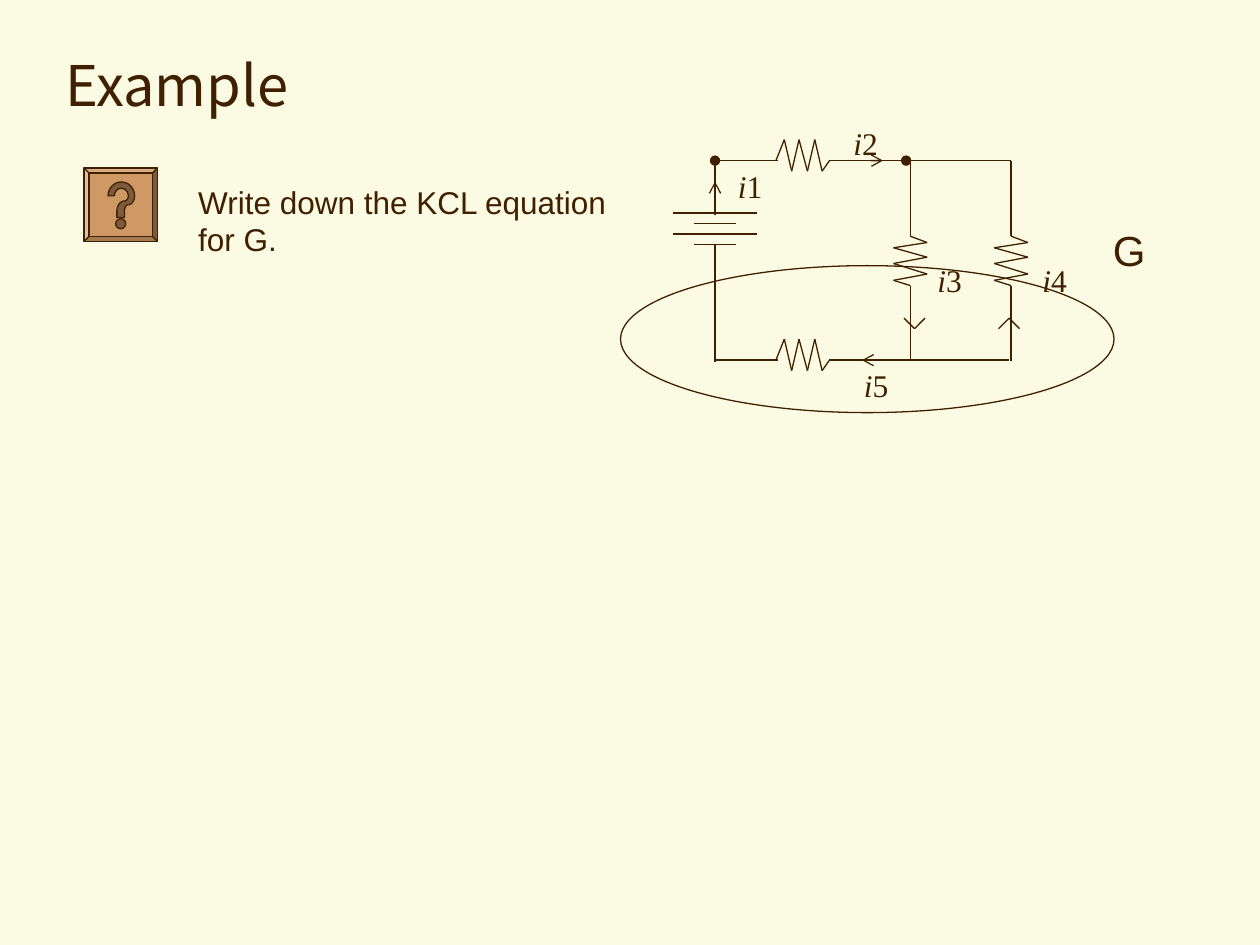
import math
from itertools import pairwise

from lxml import etree
from pptx import Presentation
from pptx import util as u
from pptx.dml.color import RGBColor
from pptx.enum import shapes, text
from pptx.oxml.ns import qn

BROWN = RGBColor(0x40, 0x20, 0x00)
TAN = RGBColor(0xCE, 0x99, 0x64)
DARK_TAN = RGBColor(0x7C, 0x5C, 0x3C)
CREAM = RGBColor(0xFB, 0xFA, 0xE2)
UNIT = u.Inches(1) / 12
SANS = {"name": "Arial", "size": u.Pt(18)}
SERIF = {"name": "Times New Roman", "size": u.Pt(18)}

BATTERY_PLATES = [(5, 4), (6, 2), (7, 4), (8, 2)]
COLUMN_RESISTOR = [(0, 0), (0, 5.2), (0, 7.2), (1.6, 7.8), (-1.6, 8.3), (1.6, 9.2),
                   (-1.6, 9.8), (1.6, 10.8), (-1.6, 11.4), (0, 11.9), (0, 13.9), (0, 19.1)]
ROW_RESISTOR = [(5.8, 0), (6.6, -2), (7.3, 1), (8, -2), (8.8, 1), (9.5, -2),
                (10.2, 1), (10.9, 0)]
CURRENTS = [("2", 12, -4.1), ("1", 1, 0), ("5", 13, 19), ("3", 20, 9), ("4", 30, 9)]


def grid(*values):
    """Convert grid units of a twelfth of an inch to lengths."""
    return [u.Emu(round(value * UNIT)) for value in values]


def style_outline(shape, fill=None):
    """Give a shape the thin brown outline and an optional fill."""
    shape.shadow.inherit = False
    shape.line.color.rgb = BROWN
    shape.line.width = u.Pt(0.75)
    if fill is None:
        shape.fill.background()
    else:
        shape.fill.solid()
        shape.fill.fore_color.rgb = fill


def add_wire(parent, start, end, **ends):
    """Draw one straight wire, with headEnd or tailEnd markers if given."""
    wire = parent.add_connector(shapes.MSO_CONNECTOR.STRAIGHT, *grid(*start, *end))
    wire.line.color.rgb = BROWN
    wire.line.width = u.Pt(0.75)
    properties = wire.element.spPr
    for name, kind in sorted(ends.items()):
        etree.SubElement(properties.get_or_add_ln(), qn(f"a:{name}"), type=kind)
    etree.SubElement(properties, qn("a:effectLst"))


def add_run(para, words, style):
    """Append a brown run with the given font values."""
    span = para.add_run()
    span.text = words
    span.font.color.rgb = BROWN
    for name, value in style.items():
        setattr(span.font, name, value)


def add_label(page, area, runs, wrap=False):
    """Place a text box holding styled runs."""
    box = page.shapes.add_textbox(*grid(*area))
    box.text_frame.word_wrap = wrap
    box.text_frame.auto_size = text.MSO_AUTO_SIZE.SHAPE_TO_FIT_TEXT
    for words, style in runs:
        add_run(box.text_frame.paragraphs[0], words, style)


def add_title(page, area, words):
    """Place and format the slide title."""
    title = page.shapes.title
    title.left, title.top, title.width, title.height = grid(*area)
    title.text_frame.vertical_anchor = text.MSO_ANCHOR.MIDDLE
    para = title.text_frame.paragraphs[0]
    para.alignment = text.PP_ALIGN.LEFT
    add_run(para, words, {"name": "Noto Sans CJK KR", "size": u.Pt(32)})


def arc(center_x, center_y, radius_x, radius_y, start, end):
    """List points along an elliptical arc between two angles."""
    angles = [math.radians(start + (end - start) * step / 12) for step in range(13)]
    return [(center_x + radius_x * math.cos(angle), center_y + radius_y * math.sin(angle))
            for angle in angles]


def add_question_button(page, left, top, size):
    """Draw a bevelled button with a question mark on a 58 by 58 grid."""
    button = page.shapes.add_shape(shapes.MSO_SHAPE.BEVEL, *grid(left, top, size, size))
    button.adjustments[0] = 0.07
    style_outline(button, TAN)
    outline = (arc(29.5, 22, 10.5, 11, 180, 360) + arc(35, 22, 5, 7, 0, 90)
               + arc(35, 34, 3, 5, 270, 180) + [(32, 39), (26, 39)]
               + arc(32, 34, 6, 8, 180, 270) + arc(32, 22, 3, 4, 90, 0)
               + arc(29.5, 22, 5.5, 6, 360, 180))
    cell = size / 58
    points = [grid(left + x * cell, top + y * cell) for x, y in outline]
    builder = page.shapes.build_freeform(*points[0])
    builder.add_line_segments(points[1:], close=True)
    style_outline(builder.convert_to_shape(), DARK_TAN)
    dot = page.shapes.add_shape(
        shapes.MSO_SHAPE.OVAL,
        *grid(left + 25 * cell, top + 40 * cell, 8 * cell, 8 * cell))
    style_outline(dot, DARK_TAN)


def add_circuit(page, left, top):
    """Draw the circuit from its top left node, with labels and the G surface."""
    def place(x, y):
        return left + x, top + y

    def wire(start, end, **ends):
        add_wire(page.shapes, place(*start), place(*end), **ends)

    def resistor(points, x, y):
        group = page.shapes.add_group_shape()
        corners = [place(x + across, y + down) for across, down in points]
        for start, end in pairwise(corners):
            add_wire(group.shapes, start, end)

    wire((0, 5.2), (0, 0))
    wire((0, 19.2), (0, 8))
    wire((18.2, 0), (28.2, 0), headEnd="oval")
    wire((18.2, 19), (28, 19))
    for column in (28.2, 18.6):
        resistor(COLUMN_RESISTOR, column, 0)
    for row, half in BATTERY_PLATES:
        wire((-half, row), (half, row))
    for row, node, flow in ((0, {"headEnd": "oval"}, {"tailEnd": "arrow"}), (19, {}, {})):
        wire((0, row), (6, row), **node)
        resistor(ROW_RESISTOR, 0, row)
        wire((10.9, row), (16, row), **flow)
    wire((13, 0), (19, 0))
    wire((14, 19), (20, 19), headEnd="arrow")
    for middle, tip, tail in ((19, 16, 15), (28, 15, 16)):
        wire((middle - 1, tail), (middle, tip))
        wire((middle, tip), (middle + 1, tail))
    wire((0, 4), (0, 2), tailEnd="arrow")
    for number, x, y in CURRENTS:
        add_label(page, (*place(x, y), 4.7, 4.8),
                  [("i", SERIF | {"italic": True}), (number, SERIF)])
    add_label(page, (*place(36.7, 5.5), 5.5, 6), [("G", SANS | {"size": u.Pt(24)})])
    surface = page.shapes.add_shape(shapes.MSO_SHAPE.OVAL, *grid(*place(-9, 10), 47, 14))
    style_outline(surface)


def main():
    """Build the example slide and save it."""
    deck = Presentation()
    deck.slide_width, deck.slide_height = grid(120, 90)
    page = deck.slides.add_slide(deck.slide_layouts[5])
    page.background.fill.solid()
    page.background.fill.fore_color.rgb = CREAM
    add_title(page, (5, 3, 110, 10), "Example")
    add_circuit(page, 68.1, 15.3)
    add_question_button(page, 8, 16, 7)
    add_label(page, (17.7, 16.8, 43.2, 8.5),
              [("Write down the KCL equation for G.", SANS)], wrap=True)
    deck.save("out.pptx")


if __name__ == "__main__":
    main()
